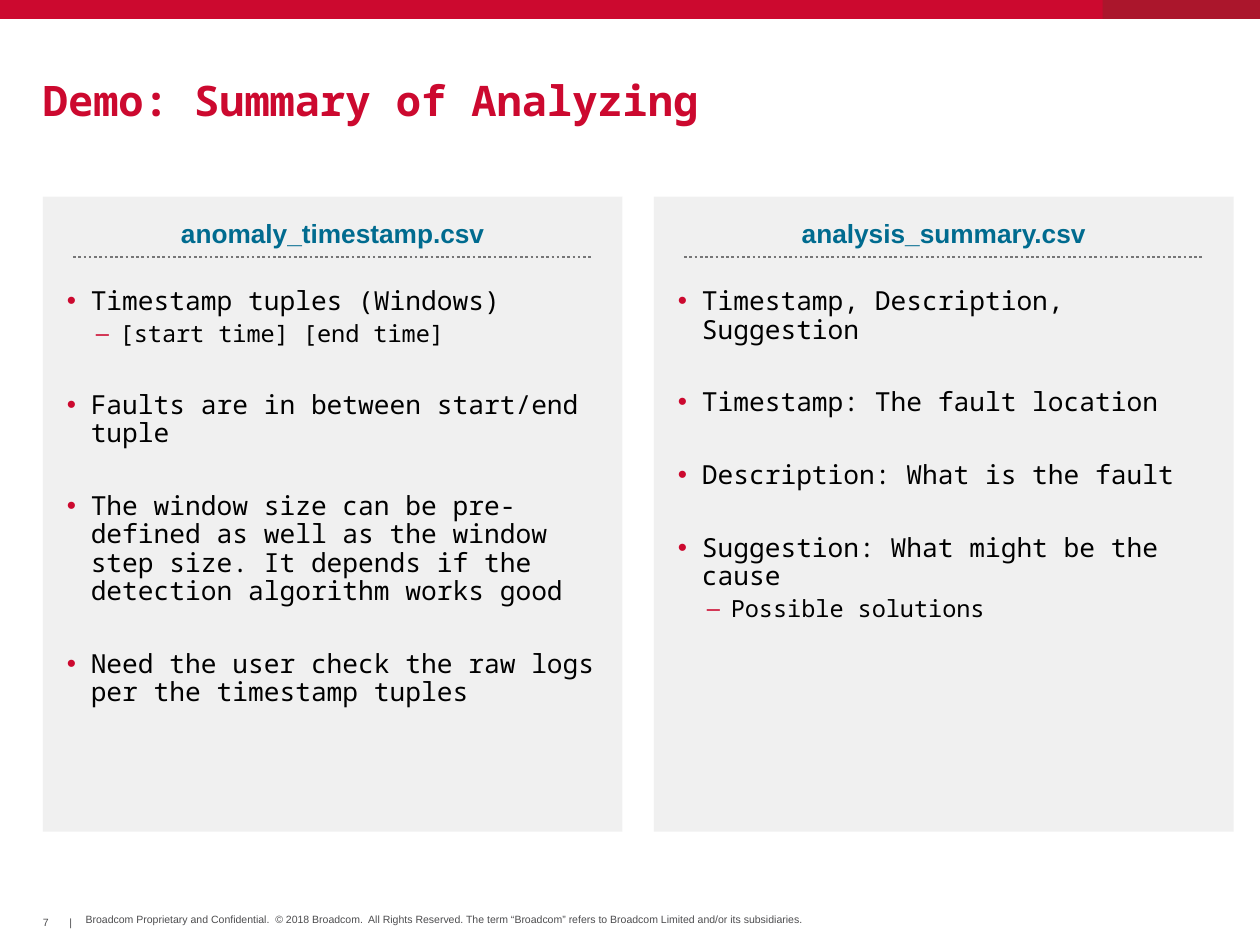
from dataclasses import dataclass

from lxml import etree
from pptx import Presentation
from pptx.dml.color import RGBColor
from pptx.enum.dml import MSO_LINE
from pptx.enum.shapes import MSO_CONNECTOR, MSO_SHAPE
from pptx.enum.text import MSO_ANCHOR, MSO_AUTO_SIZE, PP_ALIGN
from pptx.oxml.ns import qn
from pptx.util import Inches, Pt


@dataclass(frozen=True)
class Theme:
    red: str = "CC092F"
    dark_red: str = "AB162C"
    teal: str = "006B8F"
    panel: str = "ECECEC"
    rule: str = "767677"
    body: str = "000000"
    footer: str = "4D4D4F"
    sans: str = "Arial"
    mono: str = "Noto Sans Mono"
    title_size: float = 24
    text_size: float = 15
    detail_size: float = 13.5
    footer_size: float = 6


THEME = Theme()

PANEL_LEFT, PANEL_TOP = 0.34, 1.56
PANEL_WIDTH, PANEL_HEIGHT, PANEL_GAP = 4.6, 5.04, 0.25
PANEL_INSET = 0.19
RULE_OFFSET, RULE_Y, RULE_WIDTH = 0.24, 2.04, 4.11
FIRST_GAP, TOPIC_GAP, DETAIL_GAP = 4.5, 25.3, 3

# Each topic is followed by its details
PANELS = [
    ("anomaly_timestamp.csv", [
        ("Timestamp tuples (Windows)", ["[start time] [end time]"]),
        ("Faults are in between start/end tuple", []),
        ("The window size can be pre-defined as well as the window step size. "
         "It depends if the detection algorithm works good", []),
        ("Need the user check the raw logs per the timestamp tuples", []),
    ]),
    ("analysis_summary.csv", [
        ("Timestamp, Description, Suggestion", []),
        ("Timestamp: The fault location", []),
        ("Description: What is the fault", []),
        ("Suggestion: What might be the cause", ["Possible solutions"]),
    ]),
]

FOOTER = [
    ("7", 0.34, 7.27, 0.1),
    ("Broadcom Proprietary and Confidential.  © 2018 Broadcom.  All Rights Reserved. "
     "The term “Broadcom” refers to Broadcom Limited and/or its subsidiaries.",
     0.68, 7.25, 5.77),
    ("|", 0.55, 7.27, 0.02),
]


def rgb(color):
    return RGBColor.from_string(color)


def place(shape, left, top, width, height):
    shape.left, shape.top = Inches(left), Inches(top)
    shape.width, shape.height = Inches(width), Inches(height)


def set_frame(frame, inset, anchor, wrap=True):
    frame.margin_left = frame.margin_right = Inches(inset)
    frame.margin_top = frame.margin_bottom = Inches(inset)
    frame.vertical_anchor = anchor
    frame.word_wrap = wrap
    frame.auto_size = MSO_AUTO_SIZE.NONE


def set_font(paragraph, name, size, color, bold=False):
    font = paragraph.font
    font.name, font.size, font.bold = name, Pt(size), bold
    font.color.rgb = rgb(color)


def set_spacing(paragraph, line, before=0, after=0):
    paragraph.line_spacing = line
    paragraph.space_before, paragraph.space_after = Pt(before), Pt(after)


def set_bullet(paragraph, char, indent):
    """Give the paragraph a red hanging bullet, or none when char is empty."""
    props = paragraph._p.get_or_add_pPr()
    props.set("marL", str(Inches(indent)))
    props.set("indent", str(-Inches(PANEL_INSET) if char else 0))
    if not char:
        etree.SubElement(props, qn("a:buNone"))
        return
    color = etree.SubElement(props, qn("a:buClr"))
    etree.SubElement(color, qn("a:srgbClr"), val=THEME.red)
    etree.SubElement(props, qn("a:buFont"), typeface=THEME.sans)
    etree.SubElement(props, qn("a:buChar"), char=char)


def add_bar(slide, left, width, color):
    bar = slide.shapes.add_shape(
        MSO_SHAPE.RECTANGLE, Inches(left), 0, Inches(width), Inches(0.15))
    bar.shadow.inherit = False
    bar.fill.solid()
    bar.fill.fore_color.rgb = rgb(color)
    bar.line.fill.background()


def add_footer_text(slide, text, left, top, width):
    box = slide.shapes.add_textbox(
        Inches(left), Inches(top), Inches(width), Inches(0.1))
    set_frame(box.text_frame, 0, MSO_ANCHOR.MIDDLE, wrap=False)
    paragraph = box.text_frame.paragraphs[0]
    paragraph.text = text
    set_font(paragraph, THEME.sans, THEME.footer_size, THEME.footer)


def fill_title(title, text):
    place(title, 0.34, 0.65, 9.3, 0.34)
    set_frame(title.text_frame, 0, MSO_ANCHOR.MIDDLE)
    heading = title.text_frame.paragraphs[0]
    heading.text = text
    heading.alignment = PP_ALIGN.LEFT
    set_spacing(heading, 0.85)
    set_font(heading, THEME.mono, THEME.title_size, THEME.red, bold=True)


def add_item(frame, text, level, before):
    item = frame.add_paragraph()
    item.text = text
    item.level = level
    char, indent, size = [("•", 0.19, THEME.text_size),
                          ("–", 0.42, THEME.detail_size)][level]
    set_bullet(item, char, indent)
    set_spacing(item, 0.9, before)
    set_font(item, THEME.mono, size, THEME.body)


def fill_panel(panel, left, file_name, topics):
    place(panel, left, PANEL_TOP, PANEL_WIDTH, PANEL_HEIGHT)
    panel.fill.solid()
    panel.fill.fore_color.rgb = rgb(THEME.panel)
    fill_color = panel._element.spPr.find(qn("a:solidFill"))[0]
    etree.SubElement(fill_color, qn("a:alpha"), val="75000")

    frame = panel.text_frame
    set_frame(frame, PANEL_INSET, MSO_ANCHOR.TOP)
    heading = frame.paragraphs[0]
    heading.text = file_name
    set_bullet(heading, "", 0)
    heading.alignment = PP_ALIGN.CENTER
    set_spacing(heading, 0.9, after=18)
    set_font(heading, THEME.sans, THEME.text_size, THEME.teal, bold=True)

    for number, (topic, details) in enumerate(topics):
        add_item(frame, topic, 0, TOPIC_GAP if number else FIRST_GAP)
        for detail in details:
            add_item(frame, detail, 1, DETAIL_GAP)


def add_rule(slide, left):
    rule = slide.shapes.add_connector(
        MSO_CONNECTOR.STRAIGHT, Inches(left), Inches(RULE_Y),
        Inches(left + RULE_WIDTH), Inches(RULE_Y))
    rule.line.color.rgb = rgb(THEME.rule)
    rule.line.width = Pt(1.5)
    rule.line.dash_style = MSO_LINE.ROUND_DOT
    etree.SubElement(rule._element.spPr, qn("a:effectLst"))


def main():
    prs = Presentation()
    prs.slide_width, prs.slide_height = Inches(10), Inches(7.5)
    slide = prs.slides.add_slide(prs.slide_layouts.get_by_name("Two Content"))

    # Footer and top band
    for text, left, top, width in FOOTER:
        add_footer_text(slide, text, left, top, width)
    add_bar(slide, 0, 10, THEME.red)
    add_bar(slide, 8.75, 1.25, THEME.dark_red)

    # Title
    fill_title(slide.shapes.title, "Demo: Summary of Analyzing")

    # One panel per output file
    for column, (file_name, topics) in enumerate(PANELS):
        left = PANEL_LEFT + column * (PANEL_WIDTH + PANEL_GAP)
        fill_panel(slide.placeholders[column + 1], left, file_name, topics)
        add_rule(slide, left + RULE_OFFSET)

    prs.save("out.pptx")


if __name__ == "__main__":
    main()
